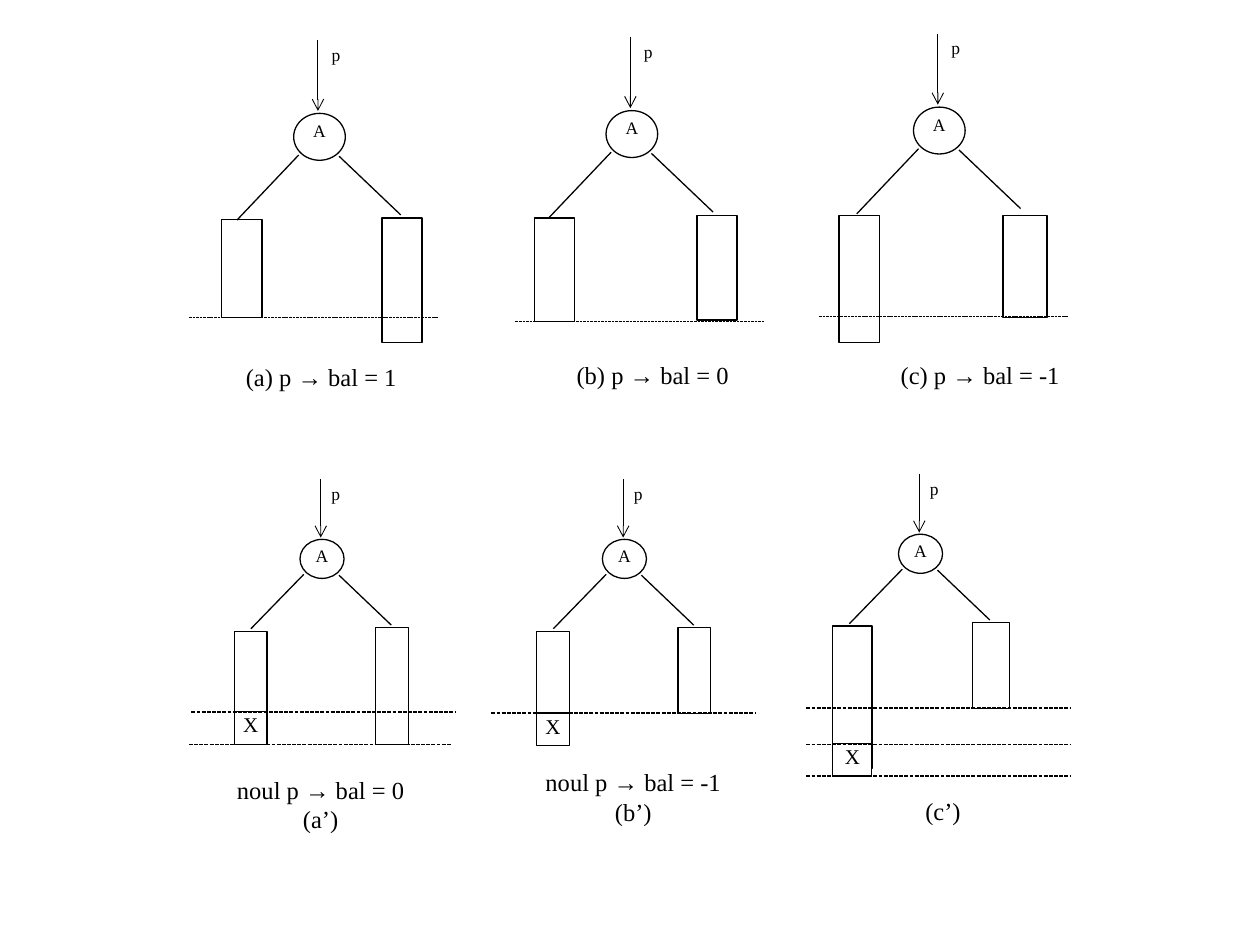
import pptx
import pptx.util
import pptx.dml.color
import pptx.enum.dml
import pptx.enum.shapes
import pptx.enum.text
import pptx.oxml.ns
from lxml import etree

Pt = pptx.util.Pt
SHAPES = pptx.enum.shapes.MSO_SHAPE
COLORS = {"ink": "000000", "paper": "FFFFFF"}
FONT = "Times New Roman"

# Geometry shared by each row, measured from the top left of node A
BEFORE = {
    "node": (29.5, 26.8), "label": (9.4, -42.8, 29.5, 36),
    "arrow": (13.9, -42, 13.9, -1.4), "dash_width": 0.5,
    "branches": [(2.9, 23.8, -32.4, 61), (26, 24.5, 61.2, 58)],
}
AFTER = {
    "node": (25.2, 22.3), "label": (7.9, -35.3, 25.2, 30),
    "arrow": (11.9, -34.4, 11.9, -1), "dash_width": 0.75,
    "branches": [(2.2, 20, -28, 51.1), (22.3, 20.5, 52.2, 49)],
}

# Boxes are (left, top, width, height); levels are (left, right, height on page)
TREES = [
    {"row": BEFORE, "node": (167.8, 64.8),
     "subtrees": [(126.7, 125.3, 23, 56.2), (218.2, 124.6, 23, 71.3)],
     "levels": [(108, 250.6, 181.4)],
     "caption": ["(a) p → bal = 1"], "caption_box": (133.9, 206.6, 99.4, 27.4)},
    {"row": BEFORE, "node": (346.3, 63.2),
     "subtrees": [(305.3, 124.6, 23, 59), (398.2, 123.1, 23, 59.8)],
     "levels": [(294.5, 437, 183.6)],
     "caption": ["(b) p → bal = 0"], "caption_box": (323.3, 205.9, 99.4, 27.4)},
    {"row": BEFORE, "node": (522, 61.2),
     "subtrees": [(479.5, 123.1, 23, 72.7), (573.1, 123.1, 25.2, 58.3)],
     "levels": [(468, 610.6, 180.7)],
     "caption": ["(c) p → bal = -1"], "caption_box": (508.3, 205.9, 103.7, 27.4)},
    {"row": AFTER, "node": (171.4, 308.2),
     "subtrees": [(133.9, 360.7, 18.7, 46.8), (214.6, 358.6, 18.7, 67)],
     "inserted": (133.9, 406.8, 18.7, 18.7),
     "levels": [(108, 257.8, 425.5), (109.4, 259.9, 406.8)],
     "caption": ["noul p → bal = 0", "(a’)"],
     "caption_box": (129.6, 442.8, 107.3, 43.2)},
    {"row": AFTER, "node": (344.2, 308.2),
     "subtrees": [(306.7, 360.7, 18.7, 46.8), (387.4, 358.6, 18.7, 49)],
     "inserted": (306.7, 407.5, 18.7, 18.7),
     "levels": [(280.8, 432, 407.5)],
     "caption": ["noul p → bal = -1", "(b’)"],
     "caption_box": (308.2, 438.5, 107.3, 43.2)},
    {"row": AFTER, "node": (513.4, 305.3),
     "subtrees": [(475.9, 357.8, 22.3, 81.4), (555.8, 355.7, 20.9, 49)],
     "inserted": (475.9, 424.8, 22.3, 18.7),
     "levels": [(460.8, 612, y) for y in (404.6, 425.5, 443.5)],
     "caption": ["(c’)"], "caption_box": (523.4, 455, 31, 25.9)},
]


def color(name):
    return pptx.dml.color.RGBColor.from_string(COLORS[name])


def write(shape, lines, size, inset=0):
    frame = shape.text_frame
    settings = {"word_wrap": False, "vertical_anchor": pptx.enum.text.MSO_ANCHOR.TOP}
    for side in ("left", "top", "right", "bottom"):
        settings["margin_" + side] = Pt(inset)
    for name, value in settings.items():
        setattr(frame, name, value)
    for number, line in enumerate(lines):
        para = frame.add_paragraph() if number else frame.paragraphs[0]
        para.alignment = pptx.enum.text.PP_ALIGN.CENTER
        span = para.add_run()
        span.text = line
        for name, value in {"name": FONT, "size": Pt(size)}.items():
            setattr(span.font, name, value)
        span.font.color.rgb = color("ink")


def add_box(page, kind, place, outlined=True):
    box = page.shapes.add_shape(kind, *map(Pt, place))
    box.shadow.inherit = False
    box.fill.solid()
    box.fill.fore_color.rgb = color("paper")
    if outlined:
        box.line.color.rgb = color("ink")
        box.line.width = Pt(0.75)
    else:
        box.line.fill.background()
    return box


def add_line(page, ends, width=0.75, dashed=False, arrow=False):
    line = page.shapes.add_connector(
        pptx.enum.shapes.MSO_CONNECTOR.STRAIGHT, *map(Pt, ends))
    line.line.color.rgb = color("ink")
    line.line.width = Pt(width)
    if dashed:
        line.line.dash_style = pptx.enum.dml.MSO_LINE.SQUARE_DOT
    if arrow:
        etree.SubElement(line.line._get_or_add_ln(),
                         pptx.oxml.ns.qn("a:tailEnd"), type="arrow")
    etree.SubElement(line._element.spPr, pptx.oxml.ns.qn("a:effectLst"))


def draw_tree(page, tree):
    row = tree["row"]
    x, y = tree["node"]

    def from_node(ends):
        return x + ends[0], y + ends[1], x + ends[2], y + ends[3]

    # Subtrees and the inserted element
    for place in tree["subtrees"]:
        add_box(page, SHAPES.FLOWCHART_PROCESS, place)
    if "inserted" in tree:
        write(add_box(page, SHAPES.RECTANGLE, tree["inserted"]), ["X"], 12)

    # Pointer label, node, branches and pointer
    left, top, width, height = row["label"]
    label = add_box(page, SHAPES.RECTANGLE, (x + left, y + top, width, height), False)
    write(label, ["p"], 10, inset=3)
    node = add_box(page, SHAPES.FLOWCHART_CONNECTOR, (x, y, *row["node"]))
    write(node, ["A"], 10)
    for branch in row["branches"]:
        add_line(page, from_node(branch))
    add_line(page, from_node(row["arrow"]), width=0.5, arrow=True)

    # Level lines and caption
    for start, end, level in tree["levels"]:
        add_line(page, (start, level, end, level), row["dash_width"], dashed=True)
    caption = page.shapes.add_textbox(*map(Pt, tree["caption_box"]))
    write(caption, tree["caption"], 14)


def main():
    deck = pptx.Presentation()
    deck.slide_width, deck.slide_height = Pt(720), Pt(540)
    page = deck.slides.add_slide(deck.slide_layouts[6])
    for tree in TREES:
        draw_tree(page, tree)
    deck.save("out.pptx")


if __name__ == "__main__":
    main()
